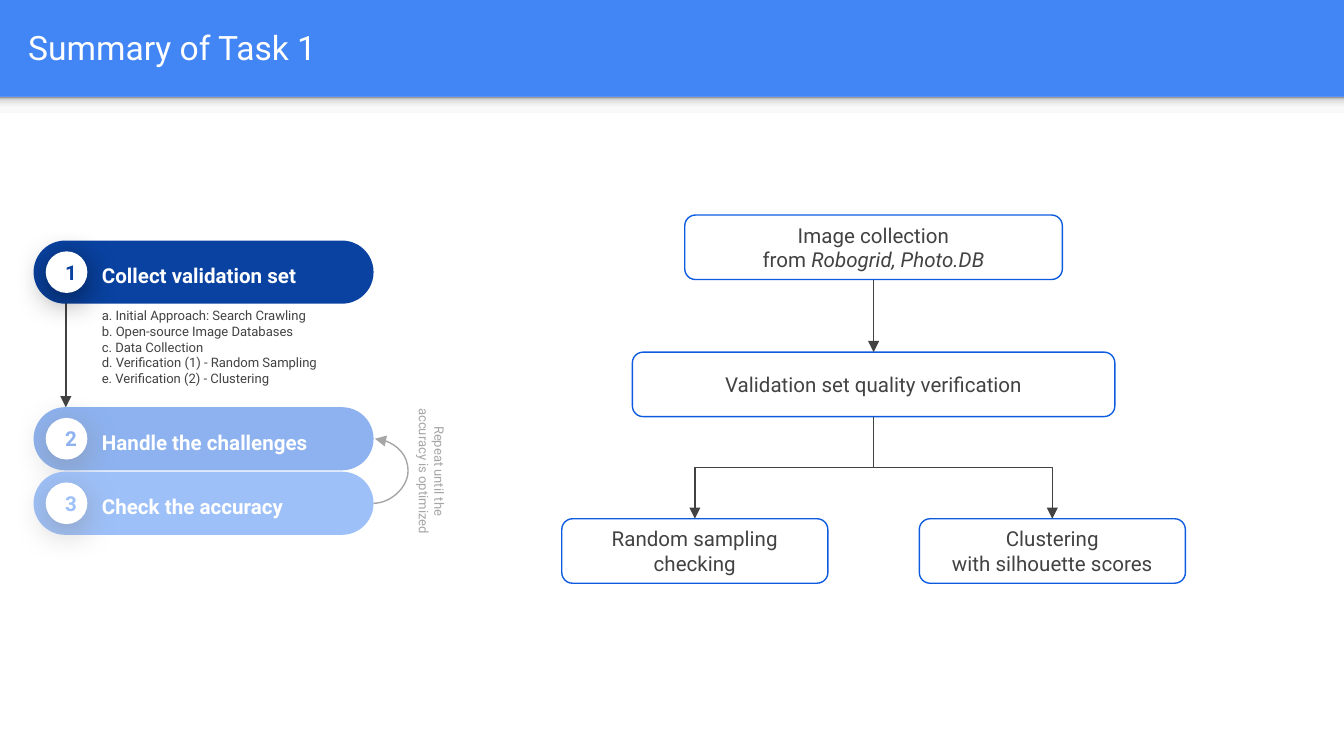
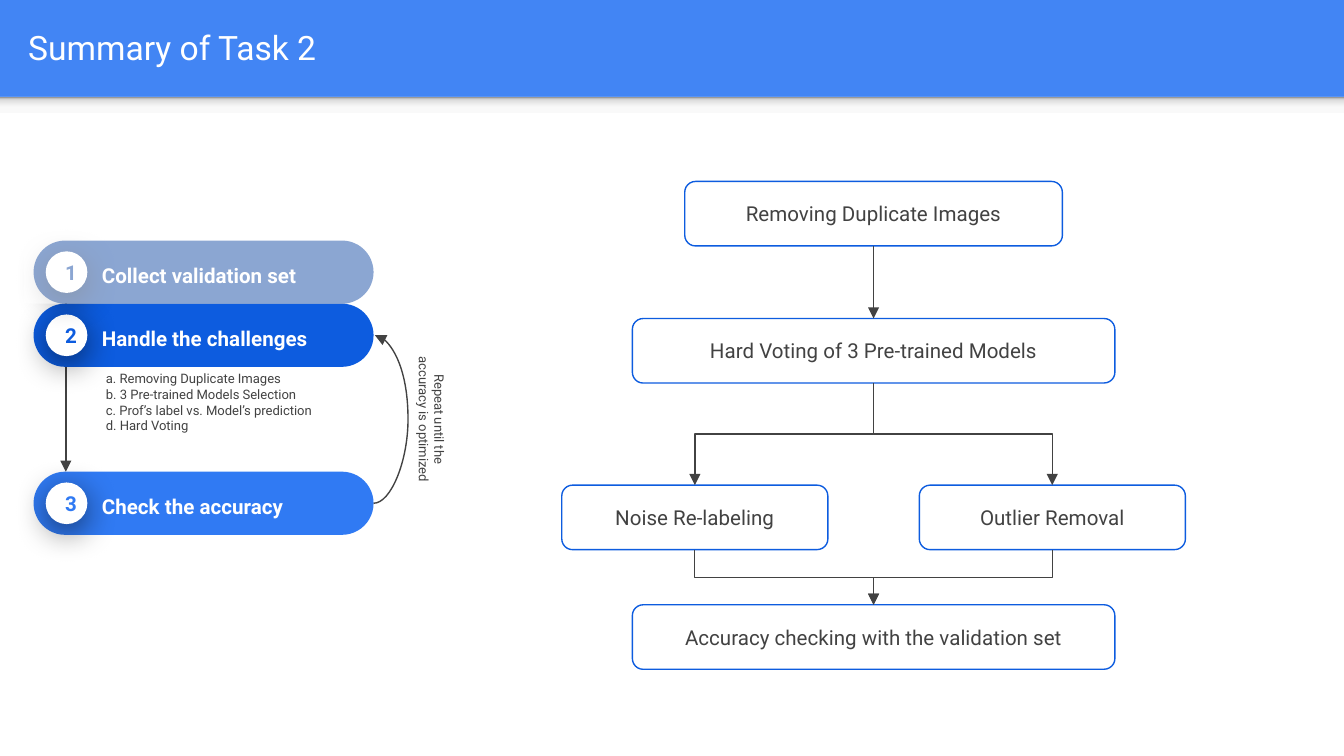
"""Build two task summary slides, each with a step list and a flow chart."""
from lxml.etree import SubElement as Sub
from pptx import Presentation
from pptx.dml.color import RGBColor as RGB
from pptx.enum.shapes import MSO_CONNECTOR as Link, MSO_SHAPE as Kind
from pptx.enum.text import MSO_ANCHOR as Anchor, PP_ALIGN as Align
from pptx.oxml.ns import qn
from pptx.util import Inches, Pt

FONT = "Roboto"
HUE = {"blue": "4285F4", "white": "FFFFFF", "ink": "424242", "edge": "0D5CDF",
       "one": "0942A1", "two": "0D5CDF", "three": "307AF3", "black": "000000"}
FADE = [(0, "F9F9F9"), (36, "F9F9F9"), (80, "DEDEDE"), (100, "999999")]
STEPS = {1: ("Collect validation set", "one"),
         2: ("Handle the challenges", "two"),
         3: ("Check the accuracy", "three")}
LOOP = "Repeat until the accuracy is optimized"
TASKS = [
    {"title": "Summary of Task 1",
     "tops": {1: 1.79, 2: 3.03, 3: 3.51}, "next": 2,
     "notes": ["a. Initial Approach: Search Crawling",
               "b. Open-source Image Databases",
               "c. Data Collection",
               "d. Verification (1) - Random Sampling",
               "e. Verification (2) - Clustering"],
     "note at": (0.66, 2.19), "veil": (0.11, 3.03, 3.26, 1.43),
     "flow top": 1.6,
     "flow": [["Image collection", ("from ", "Robogrid, Photo.DB")],
              ["Validation set quality verification"],
              ["Random sampling checking"],
              ["Clustering", "with silhouette scores"]]},
    {"title": "Summary of Task 2",
     "tops": {2: 2.26, 3: 3.51, 1: 1.79}, "next": 3,
     "notes": ["a. Removing Duplicate Images",
               "b. 3 Pre-trained Models Selection",
               "c. Prof’s label vs. Model’s prediction",
               "d. Hard Voting"],
     "note at": (0.69, 2.66), "veil": (0.18, 1.51, 2.63, 0.75),
     "flow top": 1.35,
     "flow": [["Removing Duplicate Images"],
              ["Hard Voting of 3 Pre-trained Models"],
              ["Noise Re-labeling"],
              ["Outlier Removal"],
              ["Accuracy checking with the validation set"]]},
]
MID, SIDE, TALL = 6.5, 1.33, 0.48
CELLS = [(MID, 0, 2.81), (MID, 1.02, 3.59), (MID - SIDE, 2.26, 1.98),
         (MID + SIDE, 2.26, 1.98), (MID, 3.15, 3.59)]
LINKS = [(0, 1), (1, 2), (1, 3), (2, 4), (3, 4)]
PILL = (0.25, 2.53, 0.47)


def tint(name):
    return RGB.from_string(HUE[name])


def write(shape, lines, size, hue="ink", bold=False, align=Align.LEFT,
          anchor=Anchor.MIDDLE, lead=None):
    frame = shape.text_frame
    frame.word_wrap = True
    frame.vertical_anchor = anchor
    frame.margin_left = frame.margin_right = Inches(0.1)
    frame.margin_top = frame.margin_bottom = Inches(0.1)
    for num, line in enumerate(lines):
        para = frame.add_paragraph() if num else frame.paragraphs[0]
        para.alignment = align
        para.line_spacing = lead
        for slot, text in enumerate((line,) if isinstance(line, str) else line):
            run = para.add_run()
            run.text = text
            font = run.font
            font.name, font.size, font.bold = FONT, Pt(size), bold
            font.color.rgb = tint(hue)
            if slot:
                font.italic = True


def draw(slide, kind, box, fill=None, line=None):
    shape = slide.shapes.add_shape(kind, *map(Inches, box))
    shape.shadow.inherit = False
    if fill:
        shape.fill.solid()
        shape.fill.fore_color.rgb = tint(fill)
    else:
        shape.fill.background()
    if line:
        shape.line.color.rgb = tint(line)
        shape.line.width = Pt(0.75)
    else:
        shape.line.fill.background()
    return shape


def label(slide, box, lines, size, **look):
    shape = slide.shapes.add_textbox(*map(Inches, box))
    write(shape, lines, size, **look)
    return shape


def join(slide, kind, start, end):
    wire = slide.shapes.add_connector(kind, *map(Inches, start + end))
    wire.line.color.rgb = tint("ink")
    wire.line.width = Pt(0.75)
    Sub(wire.line._get_or_add_ln(), qn("a:tailEnd"), type="triangle")
    Sub(wire.element.spPr, qn("a:effectLst"))
    return wire


def bend(slide, start, end):
    """Join two points by an elbow that leaves and arrives upright."""
    cx, cy = (start[0] + end[0]) / 2, (start[1] + end[1]) / 2
    dx, dy = start[0] - cx, start[1] - cy
    wire = join(slide, Link.ELBOW, (cx + dy, cy - dx), (cx - dy, cy + dx))
    wire.element.spPr.find(qn("a:xfrm")).set("rot", "5400000")


def loop(slide, low, high):
    x = PILL[0] + PILL[1]
    wire = join(slide, Link.CURVE, (x, low), (x + 0.01, high))
    geom = wire.element.spPr.find(qn("a:prstGeom"))
    guide = geom.find(qn("a:avLst"))
    Sub(guide, qn("a:gd"), name="adj1", fmla="val 2600000")


def glow(shape):
    fx = shape.element.spPr.find(qn("a:effectLst"))
    cast = Sub(fx, qn("a:outerShdw"), blurRad=str(Pt(18)), dist=str(Pt(4)),
               dir="5400000", algn="bl", rotWithShape="0")
    ink = Sub(cast, qn("a:srgbClr"), val=HUE["black"])
    Sub(ink, qn("a:alpha"), val="55000")


def step(slide, num, top):
    text, hue = STEPS[num]
    left, wide, tall = PILL
    pill = draw(slide, Kind.ROUNDED_RECTANGLE, (left, top, wide, tall), hue)
    pill.adjustments[0] = 0.5
    disc = draw(slide, Kind.OVAL, (0.34, top + 0.08, 0.31, 0.31), "white")
    glow(disc)
    write(disc, [str(num)], 11, hue, True, Align.CENTER)
    label(slide, (0.66, top + 0.08, 1.95, 0.33), [text], 11, hue="white",
          bold=True, lead=1.15)


def steps(slide, task):
    tops = task["tops"]
    join(slide, Link.STRAIGHT, (0.49, 2.18), (0.49, tops[task["next"]]))
    for num, top in tops.items():
        step(slide, num, top)
    label(slide, (*task["note at"], 2.13, 0.42), task["notes"], 7,
          anchor=Anchor.TOP)
    low, high = (tops[num] + PILL[2] / 2 for num in (3, 2))
    text = label(slide, (2.61, (low + high) / 2 - 0.21, 1.22, 0.42), [LOOP], 7,
                 align=Align.CENTER, anchor=Anchor.TOP)
    text.rotation = 90
    loop(slide, low, high)
    veil = draw(slide, Kind.FLOWCHART_PROCESS, task["veil"], "white")
    Sub(veil.element.spPr.find(".//" + qn("a:srgbClr")), qn("a:alpha"), val="53000")


def flow(slide, task):
    base, texts = task["flow top"], task["flow"]
    for (x, y, wide), lines in zip(CELLS, texts):
        cell = draw(slide, Kind.ROUNDED_RECTANGLE,
                    (x - wide / 2, base + y, wide, TALL), line="edge")
        write(cell, lines, 11, align=Align.CENTER)
    for head, tail in LINKS:
        if tail < len(texts):
            start = (CELLS[head][0], base + CELLS[head][1] + TALL)
            end = (CELLS[tail][0], base + CELLS[tail][1])
            if start[0] == end[0]:
                join(slide, Link.STRAIGHT, start, end)
            else:
                bend(slide, start, end)


def dress(layout, slide):
    """Give the layout its colour, white page, soft band and title place."""
    layout.background.fill.solid()
    layout.background.fill.fore_color.rgb = tint("blue")
    page = draw(slide, Kind.RECTANGLE, (0, 0.72, 10, 4.91), "white")
    band = draw(slide, Kind.RECTANGLE, (0, 0.72, 10, 0.12))
    band.fill.gradient()
    band.fill.gradient_angle = 90
    stops = band.element.spPr.find(".//" + qn("a:gsLst"))
    for stop in list(stops):
        stops.remove(stop)
    for pos, hue in FADE:
        Sub(Sub(stops, qn("a:gs"), pos=str(pos * 1000)), qn("a:srgbClr"), val=hue)
    title = layout.placeholders[0]
    title.left, title.top, title.width, title.height = map(
        Inches, (0.11, 0.02, 9.65, 0.66))
    for shape in (page, band):
        title.element.addprevious(shape.element)


def main():
    deck = Presentation()
    deck.slide_width, deck.slide_height = Inches(10), Inches(5.625)
    layout = deck.slide_layouts[5]
    for num, task in enumerate(TASKS):
        slide = deck.slides.add_slide(layout)
        if not num:
            dress(layout, slide)
        write(slide.shapes.title, [task["title"]], 18, "white")
        flow(slide, task)
        steps(slide, task)
    deck.save("out.pptx")


if __name__ == "__main__":
    main()
